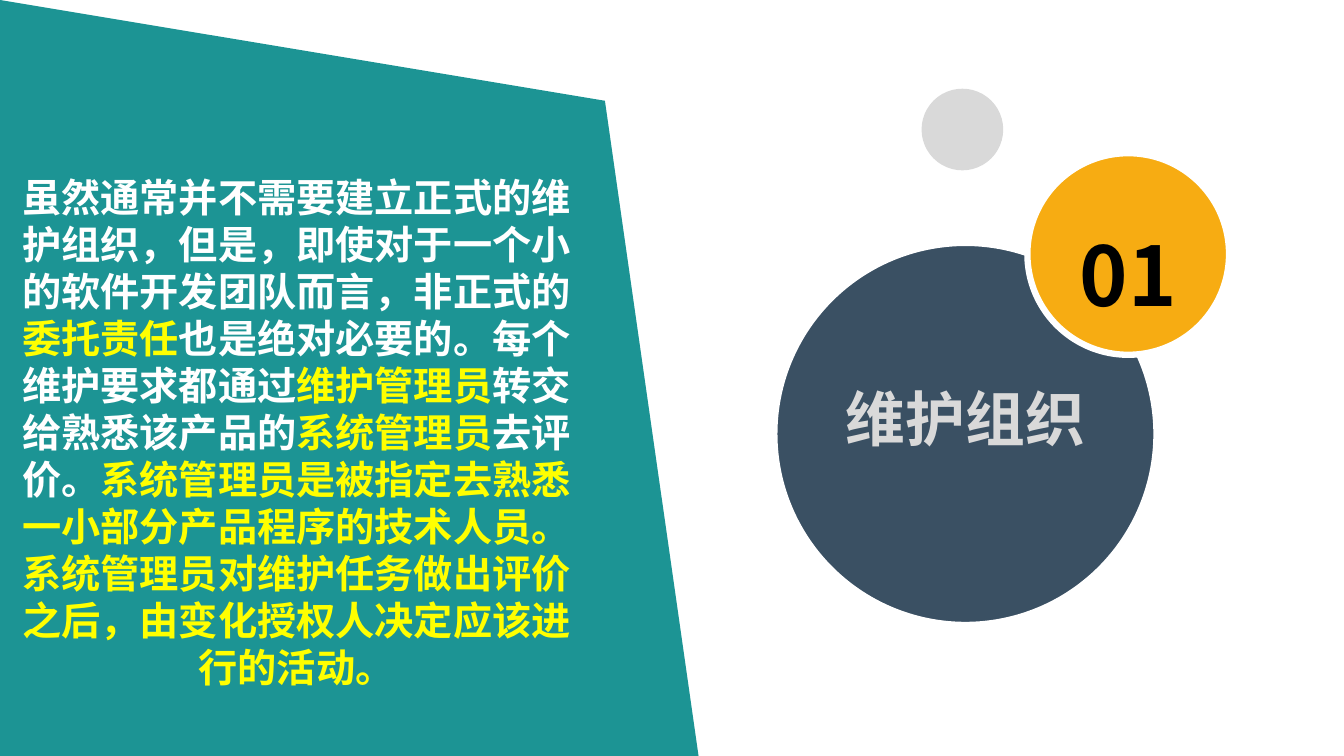
from lxml import etree
from pptx import Presentation
from pptx.dml.color import RGBColor
from pptx.enum.shapes import MSO_SHAPE
from pptx.enum.text import MSO_ANCHOR, MSO_AUTO_SIZE, PP_ALIGN
from pptx.oxml.ns import qn
from pptx.util import Inches, Pt

OVAL = MSO_SHAPE.OVAL
TOP, MIDDLE = MSO_ANCHOR.TOP, MSO_ANCHOR.MIDDLE
NO_AUTOSIZE = MSO_AUTO_SIZE.NONE
CENTER = PP_ALIGN.CENTER
FONT = "Noto Sans CJK SC"
WHITE, YELLOW, GREY = "FFFFFF", "FFFF00", "D9D9D9"


def rgb(value):
    return RGBColor.from_string(value)


def write(box, area, runs, size, line_height, inset=0.07, anchor=TOP):
    box.left, box.top, box.width, box.height = [Inches(v) for v in area]
    frame = box.text_frame
    frame.word_wrap = True
    frame.auto_size = NO_AUTOSIZE
    frame.vertical_anchor = anchor
    frame.margin_left = frame.margin_right = Inches(inset)
    frame.margin_top = frame.margin_bottom = Inches(inset)
    paragraph = frame.paragraphs[0]
    paragraph.alignment = CENTER
    paragraph.line_spacing = Pt(line_height)
    paragraph.space_before = Pt(0)
    properties = paragraph._p.get_or_add_pPr()
    properties.set("marL", "0")
    properties.set("indent", "0")
    etree.SubElement(properties, qn("a:buNone"))
    for words, color in runs:
        run = paragraph.add_run()
        run.text = words
        run.font.size = Pt(size)
        run.font.bold = True
        run.font.name = FONT
        run.font.color.rgb = rgb(color)
        east_asian = etree.SubElement(run._r.get_or_add_rPr(), qn("a:ea"))
        east_asian.set("typeface", FONT)


presentation = Presentation()
presentation.slide_width = Inches(13.33)
presentation.slide_height = Inches(7.5)
slide = presentation.slides.add_slide(presentation.slide_layouts[1])
shapes = slide.shapes
heading, explanation = slide.placeholders

outline = shapes.build_freeform(0, 0, scale=Inches(1))
outline.add_line_segments([(5.74, 1.28), (6.85, 7.5), (0, 7.5)], close=True)
panel = outline.convert_to_shape()
panel.shadow.inherit = False
panel.fill.solid()
panel.fill.fore_color.rgb = rgb("1C9494")
panel.line.fill.background()

circles = [
    (9.14, 0.88, 0.81, GREY, False),
    (7.68, 2.41, 3.79, "3A5063", True),
    (10.19, 1.52, 2, "F7AC12", True),
]
for left, top, diameter, color, outlined in circles:
    circle = shapes.add_shape(OVAL, Inches(left), Inches(top), Inches(diameter), Inches(diameter))
    circle.shadow.inherit = False
    circle.fill.solid()
    circle.fill.fore_color.rgb = rgb(color)
    if outlined:
        circle.line.color.rgb = rgb(WHITE)
        circle.line.width = Pt(4.5)
    else:
        circle.line.fill.background()

for placeholder in (explanation, heading):
    shapes._spTree.append(placeholder._element)

explanation_runs = [
    ("虽然通常并不需要建立正式的维护组织，但是，即使对于一个小的软件开发团队而言，非正式的", WHITE),
    ("委托责任", YELLOW),
    ("也是绝对必要的。每个维护要求都通过", WHITE),
    ("维护管理员", YELLOW),
    ("转交给熟悉该产品的", WHITE),
    ("系统管理员", YELLOW),
    ("去评价。", WHITE),
    ("系统管理员是被指定去熟悉一小部分产品程序的技术人员。"
     "系统管理员对维护任务做出评价之后，由变化授权人决定应该进行的活动。", YELLOW),
]
write(explanation, (0.09, 1.65, 5.7, 5.32), explanation_runs, 28, 33.6)
write(heading, (7.68, 3.72, 3.79, 0.85), [("维护组织", GREY)], 42.7, 51.2)
number = shapes.add_textbox(0, 0, 0, 0)
write(number, (10.66, 1.83, 1.06, 1.38), [("01", "000000")], 58.7, 99, 0, MIDDLE)

presentation.save("out.pptx")
